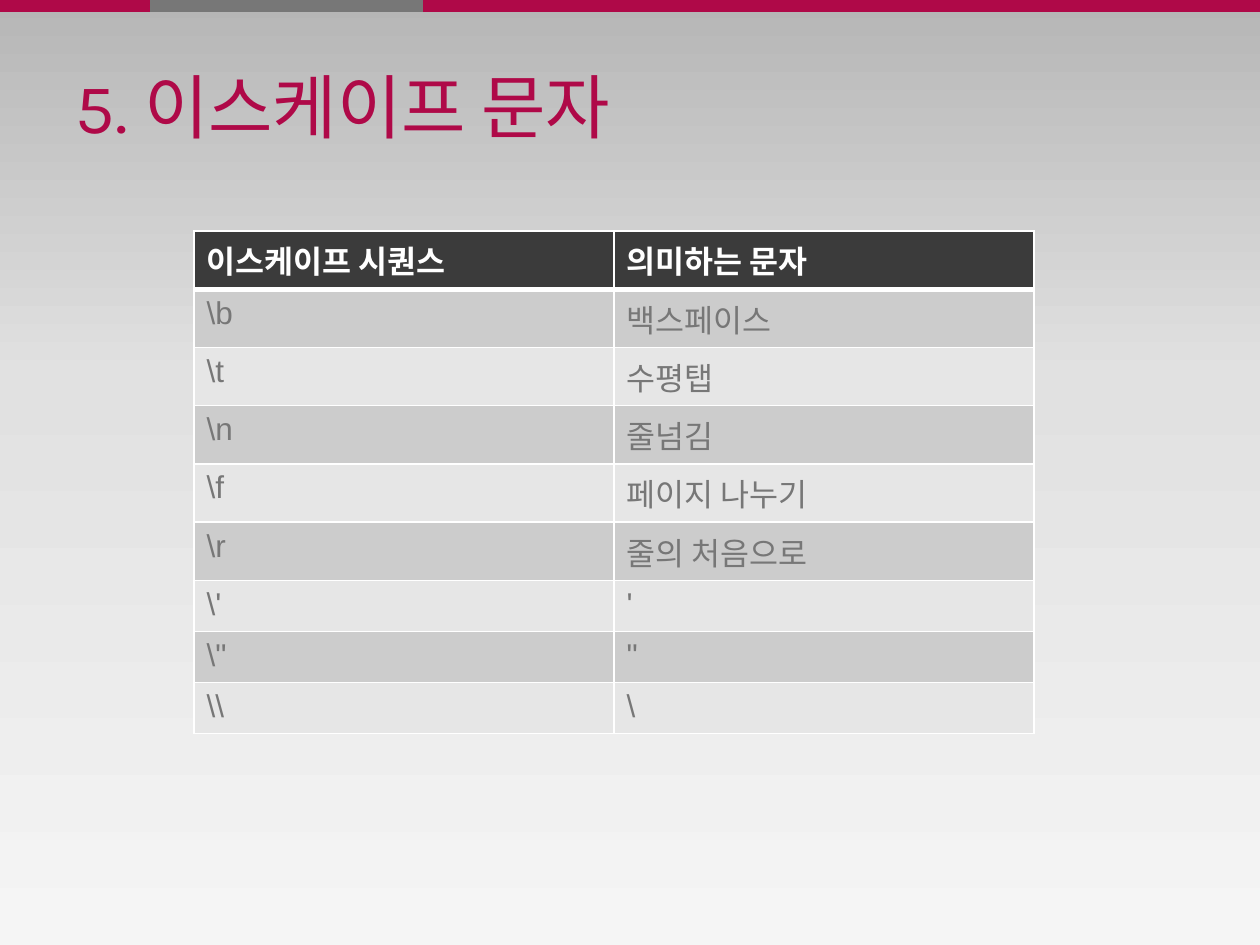
from copy import deepcopy

from pptx import Presentation
from pptx.dml.color import RGBColor as RGB
from pptx.enum.shapes import MSO_SHAPE as Shape
from pptx.enum.text import MSO_ANCHOR as Anchor, MSO_AUTO_SIZE as AutoSize, PP_ALIGN as Align
from pptx.oxml.ns import qn
from pptx.oxml.xmlchemy import OxmlElement as Element
from pptx.util import Pt

EMU_PER_PX = 914400 / 126
CRIMSON = RGB(0xAF, 0x09, 0x48)
GRAY = RGB(0x77, 0x77, 0x77)
WHITE = RGB(0xFF, 0xFF, 0xFF)
HEADER_FILL = RGB(0x3B, 0x3B, 0x3B)
BAND_FILLS = (RGB(0xCC, 0xCC, 0xCC), RGB(0xE6, 0xE6, 0xE6))
BACKGROUND_STOPS = (
    (0, RGB(0xB6, 0xB6, 0xB6)),
    (0.4, RGB(0xE1, 0xE1, 0xE1)),
    (1, RGB(0xF5, 0xF5, 0xF5)),
)
ESCAPES = (
    ("이스케이프 시퀀스", "의미하는 문자"),
    (r"\b", "백스페이스"),
    (r"\t", "수평탭"),
    (r"\n", "줄넘김"),
    (r"\f", "페이지 나누기"),
    (r"\r", "줄의 처음으로"),
    (r"\'", "'"),
    (r"\"", '"'),
    ("\\\\", "\\"),
)


def px(length):
    return round(length * EMU_PER_PX)


class SlideBuilder:
    title_font = "Karla"
    table_font = "Arial"

    def __init__(self, page):
        self.page = page

    def background(self, stops):
        """Fill the page with a gradient running from top to bottom."""
        fill = self.page.background.fill
        fill.gradient()
        fill.gradient_angle = 270
        stop_list = self.page.element.find(".//" + qn("a:gsLst"))
        while len(stop_list) < len(stops):
            stop_list.append(deepcopy(stop_list[-1]))
        for stop, (position, color) in zip(fill.gradient_stops, stops):
            stop.position = position
            stop.color.rgb = color

    def bar(self, left, width, color):
        box = self.page.shapes.add_shape(Shape.RECTANGLE, px(left), 0, px(width), px(12))
        box.shadow.inherit = False
        box.fill.solid()
        box.fill.fore_color.rgb = color
        box.line.fill.background()

    def add_text(self, para, text, font, size, color, bold=False):
        span = para.add_run()
        span.text = text
        span.font.name = font
        span.font.size = Pt(size)
        span.font.bold = bold
        span.font.color.rgb = color

    def title(self, text, left, top, width, height):
        box = self.page.shapes.title
        box.left, box.top, box.width, box.height = map(px, (left, top, width, height))
        frame = box.text_frame
        frame.auto_size = AutoSize.NONE
        frame.word_wrap = True
        frame.vertical_anchor = Anchor.MIDDLE
        para = frame.paragraphs[0]
        para.alignment = Align.LEFT
        self.add_text(para, text, self.title_font, 40, CRIMSON)

    def border(self, cell, side, points):
        line = Element(f"a:ln{side}")
        line.set("w", str(Pt(points)))
        fill = Element("a:solidFill")
        color = Element("a:srgbClr")
        color.set("val", str(WHITE))
        fill.append(color)
        line.append(fill)
        cell.get_or_add_tcPr().append(line)

    def table(self, rows, left, top, column_width, row_height):
        columns = len(rows[0])
        frame = self.page.shapes.add_table(
            len(rows), columns, px(left), px(top),
            px(column_width * columns), px(row_height * len(rows)))
        table = frame.table
        for column in table.columns:
            column.width = px(column_width)
        for row_index, texts in enumerate(rows):
            table.rows[row_index].height = px(row_height)
            is_header = row_index == 0
            fill = HEADER_FILL if is_header else BAND_FILLS[(row_index - 1) % 2]
            borders = {"L": 1, "R": 1, "T": 3 if row_index == 1 else 1, "B": 3 if is_header else 1}
            for column_index, text in enumerate(texts):
                cell = table.cell(row_index, column_index)
                for side, points in borders.items():
                    self.border(cell._tc, side, points)
                cell.fill.solid()
                cell.fill.fore_color.rgb = fill
                self.add_text(cell.text_frame.paragraphs[0], text, self.table_font, 18,
                              WHITE if is_header else GRAY, is_header)


def main():
    deck = Presentation()
    deck.slide_width, deck.slide_height = px(1260), px(945)
    title_only = deck.slide_layouts[5]
    builder = SlideBuilder(deck.slides.add_slide(title_only))
    builder.background(BACKGROUND_STOPS)
    builder.bar(0, 1260, CRIMSON)
    builder.bar(150, 273, GRAY)
    builder.title("5. 이스케이프 문자", 63, 42, 1134, 127)
    builder.table(ESCAPES, 194, 231, 420, 51)
    deck.save("out.pptx")


if __name__ == "__main__":
    main()
